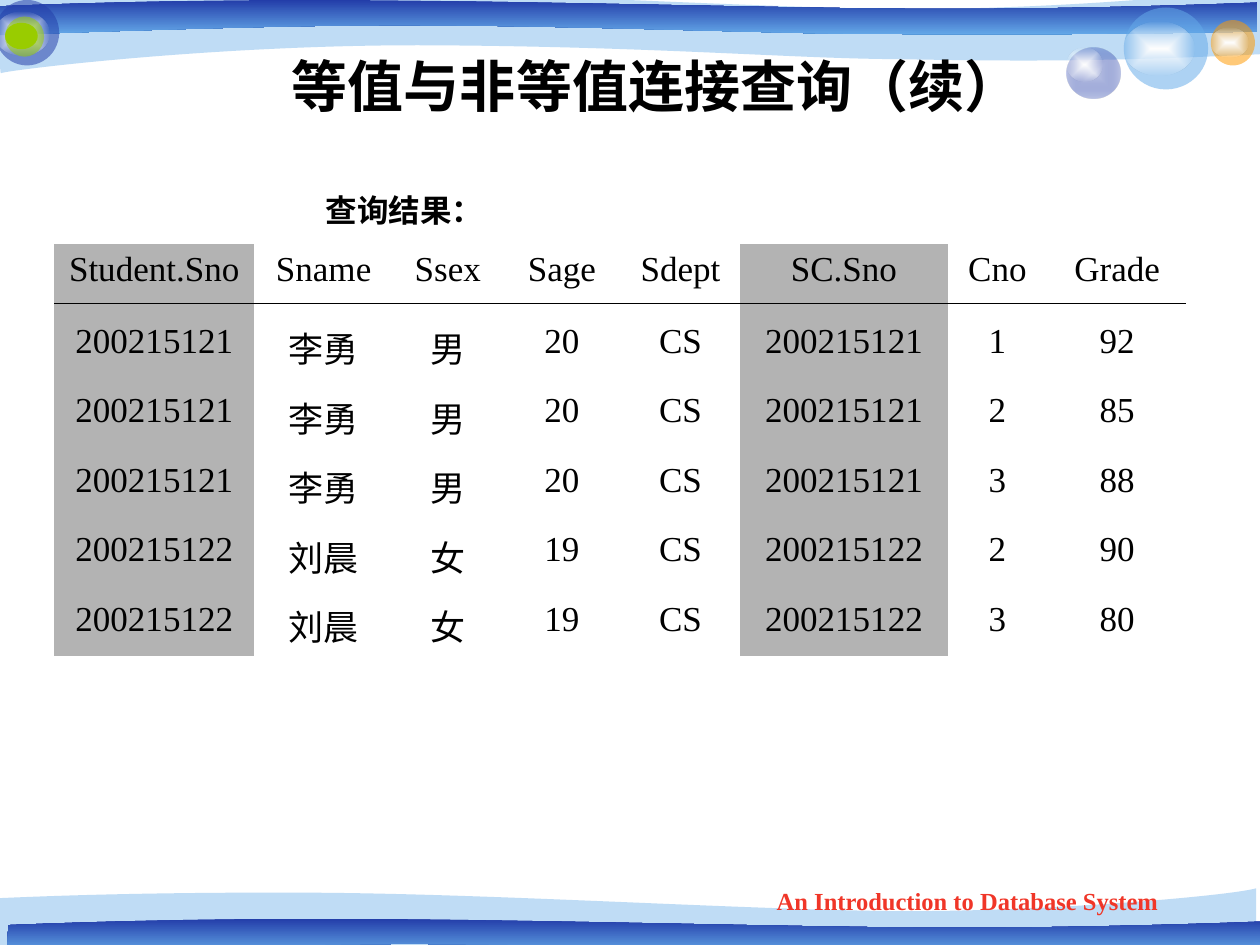
from lxml import etree
from pptx import Presentation
from pptx import util as u
from pptx.dml.color import RGBColor
from pptx.enum import shapes, text
from pptx.oxml import ns

BLACK = RGBColor(0, 0, 0)
WHITE = RGBColor(255, 255, 255)
GREY = RGBColor(0xB3, 0xB3, 0xB3)
RED = RGBColor(0xF0, 0x36, 0x28)
NAVY = RGBColor(0x23, 0x3D, 0xA9)
SKY = RGBColor(0x65, 0xAA, 0xE9)
LILAC = RGBColor(0xC7, 0xCE, 0xE9)
ORANGE = RGBColor(0xFF, 0x99, 0)
LIME = RGBColor(0x99, 0xCC, 0)

SERIF = "Times New Roman"
NO_STYLE = "{2D5ABB26-0587-4C30-8999-92F81FD0307C}"

PALE_WAVE = [
    [(0, -2.2)],
    [(17, -2.9), (77, -5.8), (177.8, -5.4)],
    [(278, -5), (414, 3.6), (503.3, 5)],
    [(591.8, 6.5), (705.6, -3.6), (720, -7.9)],
    [(720, 31)],
    [(617.8, 36), (566.6, 34.6), (507.6, 33.8)],
    [(447.8, 33.1), (370.8, 26.6), (247, 25.9)],
    [(123.8, 25.2), (2.9, 40.3), (0.7, 41.8)],
    [(-0.7, 43.2), (0, 5), (0, -2.2)],
]
DARK_WAVE = [
    [(-0.7, 3.6)],
    [(0.7, 3.6), (77.8, 0), (177.1, 0)],
    [(277.2, 0), (427.7, 4.3), (515.5, 5)],
    [(604.1, 5.8), (701.3, 2.2), (718.6, 1.4)],
    [(718.6, 18)],
    [(612.7, 20.2), (550.1, 19.4), (489.6, 19.4)],
    [(429.8, 18.7), (320.4, 14.4), (226.8, 14.4)],
    [(144.7, 14.4), (-2.9, 20.2), (-2.2, 20.2)],
    [(-1.4, 20.2), (-1.4, 3.6), (-0.7, 3.6)],
]
GLOW = [(WHITE, 100), (WHITE, 0)]
BALLS = [
    (609.8, 27.4, 30.2, 28.8, [(LILAC, 100), (NAVY, 31)]),
    (609.8, 27.4, 20.2, 19.4, GLOW),
    (642.2, 4.3, 48.2, 46.8, [(SKY, 53)]),
    (642.2, 12.2, 40.3, 31, GLOW),
    (-2.9, 0, 36.7, 37.4, [(NAVY, 53)]),
    (-2.9, 6.5, 31, 25.2, GLOW),
    (691.9, 11.5, 25.2, 25.9, [(ORANGE, 53)]),
    (691.9, 15.8, 21.6, 17.3, GLOW),
    (2.9, 9.4, 22.3, 23, [(LIME, 53)]),
    (2.9, 13, 18.7, 15.1, [(LIME, 100)]),
]
COLUMN_WIDTHS = [114.3, 79.3, 62.6, 67.8, 67.8, 119.1, 56.3, 80.6]
ROW_HEIGHTS = [41, 39.7, 39.7, 39.7, 39.7, 36]
KEY_COLUMNS = (0, 5)
HEADINGS = ["Student.Sno", "Sname", "Ssex", "Sage", "Sdept", "SC.Sno", "Cno", "Grade"]
STUDENTS = {
    "200215121": ["李勇", "男", "20", "CS"],
    "200215122": ["刘晨", "女", "19", "CS"],
}
GRADES = [
    ("200215121", "1", "92"),
    ("200215121", "2", "85"),
    ("200215121", "3", "88"),
    ("200215122", "2", "90"),
    ("200215122", "3", "80"),
]


def set_format(target, values):
    for name, value in values.items():
        setattr(target, name, value)


def paint(shape, stops, centred=False):
    shape.shadow.inherit = False
    shape.line.fill.background()
    fill = shape.fill
    if len(stops) == 1:
        fill.solid()
        fill.fore_color.rgb = stops[0][0]
    else:
        fill.gradient()
        fill.gradient_angle = 270
        for stop, (colour, _) in zip(fill.gradient_stops, stops):
            stop.color.rgb = colour
    properties = shape._element.spPr
    if centred and len(stops) > 1:
        linear = properties.find(".//" + ns.qn("a:lin"))
        radial = etree.Element(ns.qn("a:path"), path="rect")
        sides = dict.fromkeys("ltrb", "50000")
        etree.SubElement(radial, ns.qn("a:fillToRect"), sides)
        linear.getparent().replace(linear, radial)
    for colour, (_, opacity) in zip(properties.iter(ns.qn("a:srgbClr")), stops):
        if opacity < 100:
            etree.SubElement(colour, ns.qn("a:alpha"), val=str(opacity * 1000))


def add_wave(page, segments, left, top, stops):
    placed = [[(u.Pt(x + left), u.Pt(y + top)) for x, y in segment]
              for segment in segments]
    builder = page.shapes.build_freeform(*placed[0][0])
    builder.add_line_segments([segment[-1] for segment in placed[1:]])
    wave = builder.convert_to_shape()
    edges = list(wave._element.spPr.iter(ns.qn("a:lnTo")))
    for edge, segment in zip(edges, placed[1:]):
        if len(segment) == 1:
            continue
        curve = etree.Element(ns.qn("a:cubicBezTo"))
        for x, y in segment:
            etree.SubElement(curve, ns.qn("a:pt"),
                             x=str(x - wave.left), y=str(y - wave.top))
        edge.getparent().replace(edge, curve)
    paint(wave, stops)


def add_ball(page, left, top, width, height, stops):
    frame = map(u.Pt, (left, top, width, height))
    ball = page.shapes.add_shape(shapes.MSO_SHAPE.OVAL, *frame)
    paint(ball, stops, centred=True)


def write(frame, words, size, font=SERIF, colour=BLACK, bold=False):
    para = frame.paragraphs[0]
    para.alignment = text.PP_ALIGN.CENTER
    span = para.add_run()
    span.text = words
    set_format(span.font, {"size": u.Pt(size), "name": font, "bold": bold})
    span.font.color.rgb = colour


def add_label(page, bounds, words, size, wrap=True,
              anchor=text.MSO_ANCHOR.TOP, **style):
    box = page.shapes.add_textbox(*map(u.Pt, bounds))
    set_format(box.text_frame, {"word_wrap": wrap, "vertical_anchor": anchor})
    write(box.text_frame, words, size, bold=True, **style)


def add_results(page, left, top):
    rows = [HEADINGS]
    rows += [[sno, *STUDENTS[sno], sno, cno, grade] for sno, cno, grade in GRADES]
    frame = page.shapes.add_table(
        len(rows), len(HEADINGS), u.Pt(left), u.Pt(top),
        u.Pt(sum(COLUMN_WIDTHS)), u.Pt(sum(ROW_HEIGHTS)))
    table = frame.table
    set_format(table, {"first_row": False, "horz_banding": False})
    table._tbl.tblPr.find(ns.qn("a:tableStyleId")).text = NO_STYLE
    for column, width in zip(table.columns, COLUMN_WIDTHS):
        column.width = u.Pt(width)
    for row, height, values in zip(table.rows, ROW_HEIGHTS, rows):
        row.height = u.Pt(height)
        for index, (cell, value) in enumerate(zip(row.cells, values)):
            if index in KEY_COLUMNS:
                cell.fill.solid()
                cell.fill.fore_color.rgb = GREY
            else:
                cell.fill.background()
            write(cell.text_frame, value, 20)


def add_rule(page, left, right, y):
    rule = page.shapes.add_connector(
        shapes.MSO_CONNECTOR.STRAIGHT, *map(u.Pt, (left, y, right, y)))
    rule.line.width = u.Pt(0.75)
    rule.line.color.rgb = BLACK
    etree.SubElement(rule._element.spPr, ns.qn("a:effectLst"))


def main():
    deck = Presentation()
    set_format(deck, {"slide_width": u.Pt(720), "slide_height": u.Pt(540)})
    page = deck.slides.add_slide(deck.slide_layouts[6])
    for pale_offset, dark_offset in [((0, 0), (0, 0)), ((-2.2, 515.5), (5.8, 525))]:
        add_wave(page, PALE_WAVE, *pale_offset, [(SKY, 41)])
        add_wave(page, DARK_WAVE, *dark_offset, [(NAVY, 100), (SKY, 100)])
    for ball in BALLS:
        add_ball(page, *ball)
    add_label(page, (84.2, 26.3, 581.8, 44.6), "等值与非等值连接查询（续）", 32,
              anchor=text.MSO_ANCHOR.MIDDLE, font="Arial")
    add_results(page, 31, 139.4)
    add_label(page, (151.9, 105.8, 158.4, 28.8), "查询结果：", 18, wrap=False)
    add_rule(page, 31, 677.5, 173.5)
    add_label(page, (411.1, 502.6, 283.7, 25.2),
              "An Introduction to Database System", 14, colour=RED)
    deck.save("out.pptx")


if __name__ == "__main__":
    main()
